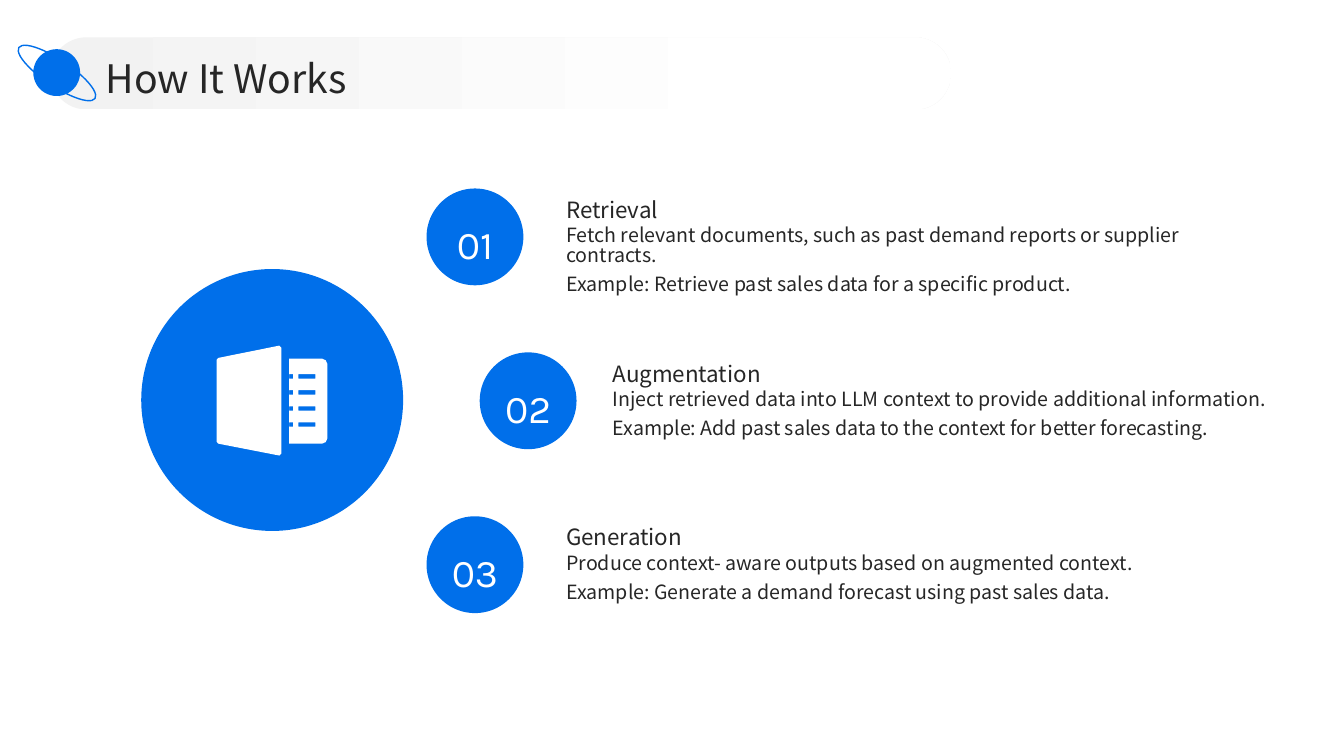
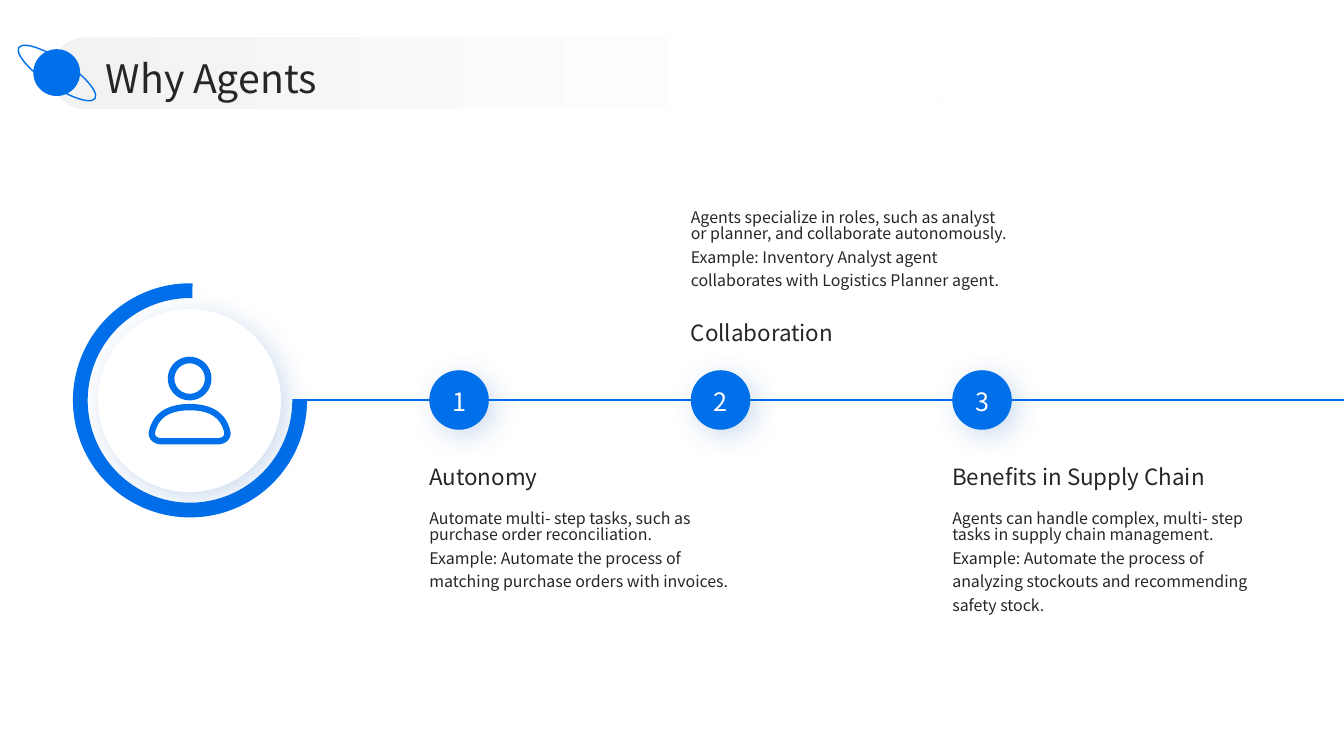
from lxml import etree
from pptx import Presentation
from pptx.dml.color import RGBColor
from pptx.enum.shapes import MSO_CONNECTOR, MSO_SHAPE as SHAPE
from pptx.enum.text import MSO_ANCHOR as ANCHOR, PP_ALIGN as ALIGN
from pptx.oxml.ns import qn
from pptx.util import Cm, Pt

COLORS = {
    "blue": "006FEA",
    "shade": "0053B0",
    "ink": "262626",
    "white": "FFFFFF",
    "band": "F2F2F2",
}
SANS = "Noto Sans CJK SC"
DIGITS = "Karla"
WIDTH, HEIGHT = 33.87, 19.05

STEPS = [
    ("Retrieval",
     "Fetch relevant documents, such as past demand reports or supplier contracts.",
     "Example: Retrieve past sales data for a specific product."),
    ("Augmentation",
     "Inject retrieved data into LLM context to provide additional information.",
     "Example: Add past sales data to the context for better forecasting."),
    ("Generation",
     "Produce context- aware outputs based on augmented context.",
     "Example: Generate a demand forecast using past sales data."),
]
MILESTONES = [
    ("Autonomy",
     "Automate multi- step tasks, such as purchase order reconciliation.",
     "Example: Automate the process of matching purchase orders with invoices."),
    ("Collaboration",
     "Agents specialize in roles, such as analyst or planner, and collaborate autonomously.",
     "Example: Inventory Analyst agent collaborates with Logistics Planner agent."),
    ("Benefits in Supply Chain",
     "Agents can handle complex, multi- step tasks in supply chain management.",
     "Example: Automate the process of analyzing stockouts and recommending safety stock."),
]


def rgb(name):
    return RGBColor.from_string(COLORS[name])


def box(x, y, w, h):
    return Cm(x), Cm(y), Cm(w), Cm(h)


def rect(x, y, w, h):
    """Corner points of a rectangle."""
    return [(x, y), (x + w, y), (x + w, y + h), (x, y + h)]


def bezier(p0, p1, p2, p3, n=16):
    """Points along a cubic curve."""
    def at(t, axis):
        u = 1 - t
        return (u ** 3 * p0[axis] + 3 * u * u * t * p1[axis]
                + 3 * u * t * t * p2[axis] + t ** 3 * p3[axis])
    return [(at(i / n, 0), at(i / n, 1)) for i in range(n + 1)]


def write(tf, *lines, size, color="ink", font=SANS, spacing=(1,),
          align=ALIGN.LEFT, anchor=ANCHOR.TOP):
    """Fill a frame with one paragraph per line, each with its own line spacing."""
    tf.word_wrap = True
    tf.vertical_anchor = anchor
    tf.margin_left = tf.margin_right = tf.margin_top = tf.margin_bottom = 0
    for i, (line, gap) in enumerate(zip(lines, spacing)):
        p = tf.paragraphs[0] if i == 0 else tf.add_paragraph()
        p.alignment = align
        p.line_spacing = gap
        r = p.add_run()
        r.text = line
        r.font.size = Pt(size)
        r.font.name = font
        r.font.color.rgb = rgb(color)


class Deck:
    def __init__(self):
        self.prs = Presentation()
        self.prs.slide_width, self.prs.slide_height = Cm(WIDTH), Cm(HEIGHT)
        self.s = None

    def slide(self, title):
        self.s = self.prs.slides.add_slide(self.prs.slide_layouts[6])
        band = self.shape(SHAPE.ROUNDED_RECTANGLE, 1.27, 0.94, 22.7, 1.82, adj=[0.5])
        band.fill.gradient()
        band.fill.gradient_angle = 0
        for stop, name, pos in zip(band.fill.gradient_stops, ("band", "white"), (0, 0.8)):
            stop.color.rgb = rgb(name)
            stop.position = pos
        self.text(2.67, 1.25, 29.64, 1.3, title, size=28, spacing=[1.1],
                  anchor=ANCHOR.MIDDLE)
        self.shape(SHAPE.OVAL, 0.84, 1.24, 1.18, 1.18)
        orbit = self.shape(SHAPE.OVAL, 0.28, 1.51, 2.31, 0.66, fill=None, line=1)
        orbit.rotation = 33.8

    def style(self, sp, fill="blue", line=None, shadow=False):
        """Set a fill colour, a blue line of so many points, and a soft shadow."""
        sp.shadow.inherit = False
        if fill:
            sp.fill.solid()
            sp.fill.fore_color.rgb = rgb(fill)
        else:
            sp.fill.background()
        if line:
            sp.line.color.rgb = rgb("blue")
            sp.line.width = Pt(line)
        else:
            sp.line.fill.background()
        if shadow:
            effects = sp._element.spPr.find(qn("a:effectLst"))
            outer = etree.SubElement(
                effects, qn("a:outerShdw"), blurRad=str(Pt(20)), dist=str(Pt(6)),
                dir=str(45 * 60000), algn="tl", rotWithShape="0")
            clr = etree.SubElement(outer, qn("a:srgbClr"), val=COLORS["shade"])
            etree.SubElement(clr, qn("a:alpha"), val="20000")
        return sp

    def shape(self, kind, x, y, w, h, adj=(), **look):
        sp = self.s.shapes.add_shape(kind, *box(x, y, w, h))
        for i, value in enumerate(adj):
            sp.adjustments[i] = value
        return self.style(sp, **look)

    def badge(self, x, y, d, label, size, spacing, font=SANS, shadow=False):
        """Blue disc with a centred number."""
        sp = self.shape(SHAPE.OVAL, x, y, d, d, shadow=shadow)
        write(sp.text_frame, label, size=size, color="white", font=font,
              spacing=[spacing], align=ALIGN.CENTER, anchor=ANCHOR.MIDDLE)

    def text(self, x, y, w, h, *lines, **fmt):
        write(self.s.shapes.add_textbox(*box(x, y, w, h)).text_frame, *lines, **fmt)

    def body(self, x, y, w, h, *lines, **fmt):
        """Summary set tight, example set loose."""
        self.text(x, y, w, h, *lines, spacing=(0.85, 1.24), **fmt)

    def outline(self, *contours, **look):
        """Closed contours as one shape; an inner contour is a hole."""
        pen = None
        for points in contours:
            first, *rest = [(Cm(x), Cm(y)) for x, y in points]
            if pen is None:
                pen = self.s.shapes.build_freeform(*first)
            else:
                pen.move_to(*first)
            pen.add_line_segments(rest, close=True)
        return self.style(pen.convert_to_shape(), **look)

    def line(self, x1, y1, x2, y2, width):
        c = self.s.shapes.add_connector(
            MSO_CONNECTOR.STRAIGHT, Cm(x1), Cm(y1), Cm(x2), Cm(y2))
        c.line.color.rgb = rgb("blue")
        c.line.width = Pt(width)
        etree.SubElement(c._element.spPr, qn("a:effectLst"))

    def book_icon(self):
        cover = [(5.46, 9.07), (5.5, 9.02), (7.04, 8.71), (7.09, 8.76),
                 (7.09, 11.43), (7.04, 11.48), (5.5, 11.18), (5.46, 11.13)]
        page = [(7.29, 9.04), (8.12, 9.04), (8.21, 9.08), (8.25, 9.17),
                (8.25, 11.05), (8.21, 11.14), (8.12, 11.18), (7.29, 11.18)]
        rows = [9.43 + 0.405 * i for i in range(4)]
        notches = [rect(7.29, y, 0.1, 0.11) for y in rows]
        dashes = [rect(7.52, y, 0.43, 0.11) for y in rows]
        self.outline(cover, page, *notches, *dashes, fill="white")

    def person_icon(self):
        axis = 4.78
        self.shape(SHAPE.DONUT, axis - 0.55, 8.99, 1.1, 1.1, adj=[0.15])
        right = (bezier((axis, 10.26), (5.37, 10.26), (5.63, 10.51), (5.72, 10.85))
                 + bezier((5.72, 10.85), (5.77, 11), (5.66, 11.12), (5.49, 11.12))[1:])
        left = [(2 * axis - x, y) for x, y in reversed(right[1:])]
        self.outline(right + left, fill=None, line=4.5)


def how_it_works(deck):
    deck.slide("How It Works")
    deck.shape(SHAPE.OVAL, 3.56, 6.78, 6.6, 6.6)
    deck.book_icon()
    for i, (title, *lines) in enumerate(STEPS):
        y = 4.75 + 4.13 * i
        badge_x, text_x = (12.09, 15.44) if i == 1 else (10.75, 14.27)
        deck.badge(badge_x, y, 2.44, f"{i + 1:02}", 28, 1.3, font=DIGITS)
        deck.text(text_x, y, 16.64, 0.86, title, size=16, spacing=[1.3],
                  anchor=ANCHOR.BOTTOM)
        deck.body(text_x, y + 0.96, 16.64, 2.72, *lines, size=14)


def why_agents(deck):
    deck.slide("Why Agents")
    axis = 10.08
    deck.shape(SHAPE.BLOCK_ARC, 1.84, 7.14, 5.9, 5.9, adj=[215.6, 162.76, 0.063])
    deck.line(7.44, axis, WIDTH, axis, 2)
    deck.shape(SHAPE.OVAL, 2.47, 7.79, 4.61, 4.61, fill="white", shadow=True)
    deck.person_icon()
    for i, (title, *lines) in enumerate(MILESTONES):
        x = 10.82 + 6.59 * i
        above = i == 1
        title_y, body_y = (7.67, 3.81) if above else (11.3, 12.88)
        deck.badge(x, axis - 0.75, 1.5, str(i + 1), 18, 1.1, shadow=True)
        deck.text(x, title_y, 8, 1.3, title, size=16, spacing=[1.2],
                  anchor=ANCHOR.MIDDLE)
        deck.body(x, body_y, 8, 3.5, *lines, size=11.4,
                  anchor=ANCHOR.BOTTOM if above else ANCHOR.TOP)


def main():
    deck = Deck()
    how_it_works(deck)
    why_agents(deck)
    deck.prs.save("out.pptx")


if __name__ == "__main__":
    main()
